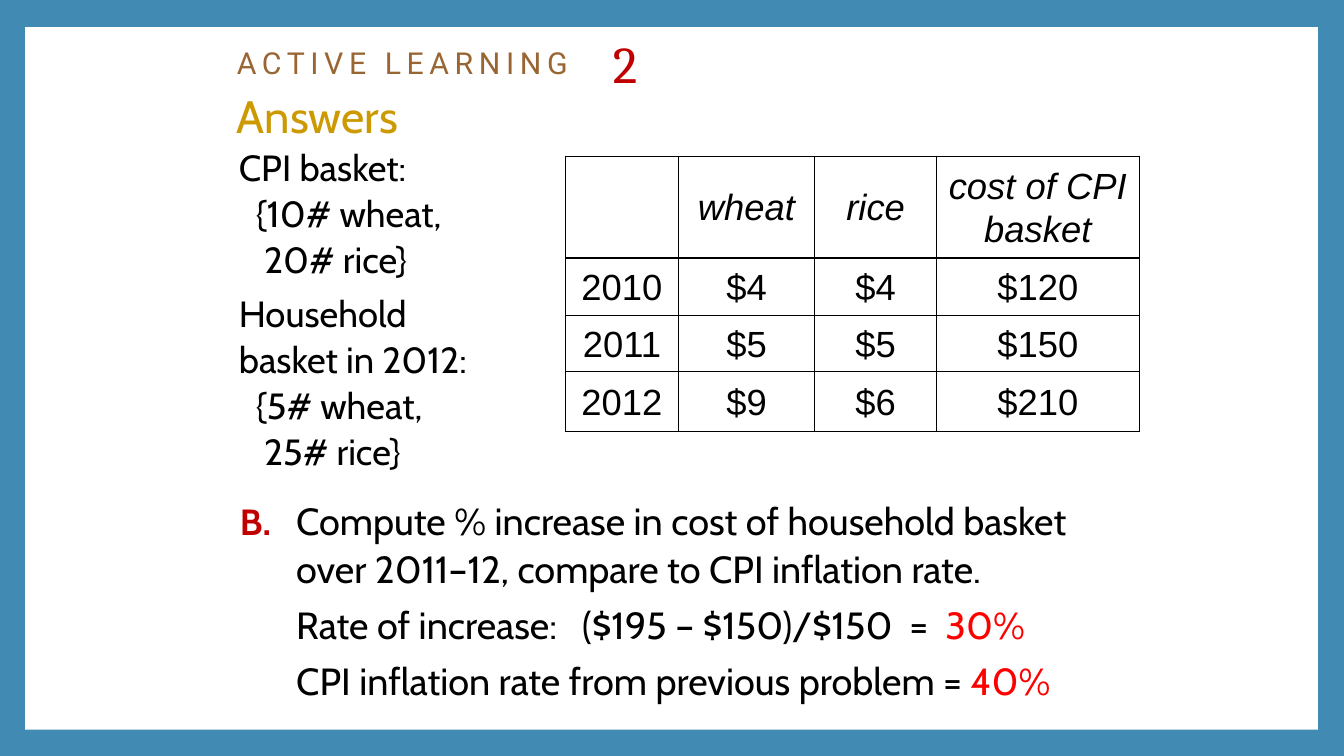
from dataclasses import dataclass

from lxml import etree
from pptx import Presentation
from pptx import util as u
from pptx.dml.color import RGBColor
from pptx.enum import shapes, text
from pptx.oxml.ns import qn


@dataclass(frozen=True)
class Theme:
    frame: str = "418AB3"
    paper: str = "FFFFFF"
    ink: str = "000000"
    brown: str = "996633"
    gold: str = "CC9900"
    crimson: str = "C00000"
    red: str = "FF0000"
    body_font: str = "Cabin"
    label_font: str = "Roboto"
    number_font: str = "Cambria"
    table_font: str = "Arial"
    label_size: float = 21.6
    number_size: float = 63.9
    heading_size: float = 32.4
    body_size: float = 26
    answer_size: float = 27
    paragraph_gap: float = 6
    line_spacing: float = 1.05


def add_text(paragraph, words, *, font, size, color, bold=False, italic=False,
             tracking=0, baseline=0):
    """Append one run; tracking is in points, baseline in percent."""
    run = paragraph.add_run()
    run.text = words
    run.font.name = font
    run.font.size = u.Pt(size)
    run.font.bold = bold
    run.font.italic = italic
    run.font.color.rgb = RGBColor.from_string(color)
    properties = run.font._element
    if tracking:
        properties.set("spc", str(round(tracking * 100)))
    if baseline:
        properties.set("baseline", str(baseline * 1000))


class SlideBuilder:
    def __init__(self, slide, theme):
        self.slide = slide
        self.theme = theme

    def background(self):
        fill = self.slide.background.fill
        fill.solid()
        fill.fore_color.rgb = RGBColor.from_string(self.theme.frame)

    def panel(self, *box):
        panel = self.slide.shapes.add_shape(
            shapes.MSO_SHAPE.RECTANGLE, *map(u.Inches, box))
        panel.shadow.inherit = False
        panel.fill.solid()
        panel.fill.fore_color.rgb = RGBColor.from_string(self.theme.paper)
        panel.line.fill.background()

    def text_box(self, *box, anchor=text.MSO_ANCHOR.TOP):
        frame = self.slide.shapes.add_textbox(*map(u.Inches, box)).text_frame
        frame.word_wrap = True
        frame.vertical_anchor = anchor
        return frame

    def paragraph(self, frame, runs, *, margin=0, hanging=0, gap=0):
        """Add a body paragraph from (words, format) pairs."""
        first = frame.paragraphs[0]
        paragraph = frame.add_paragraph() if first.runs else first
        paragraph.line_spacing = self.theme.line_spacing
        paragraph.space_before = u.Pt(gap)
        properties = paragraph._p.get_or_add_pPr()
        properties.set("marL", str(u.Inches(margin)))
        properties.set("indent", str(-u.Inches(hanging)))
        for words, changes in runs:
            style = dict(font=self.theme.body_font, size=self.theme.answer_size,
                         color=self.theme.ink)
            add_text(paragraph, words, **(style | changes))

    def title(self, label, number, heading, *box):
        theme = self.theme
        frame = self.text_box(*box, anchor=text.MSO_ANCHOR.MIDDLE)
        paragraph = frame.paragraphs[0]
        paragraph.line_spacing = 0.9
        label_style = dict(font=theme.label_font, size=theme.label_size,
                           color=theme.brown)
        add_text(paragraph, label, tracking=4, **label_style)
        add_text(paragraph, " ", tracking=22.6, **label_style)
        add_text(paragraph, number, font=theme.number_font,
                 size=theme.number_size, color=theme.crimson, baseline=-10)
        paragraph.add_line_break()
        add_text(paragraph, heading, font=theme.body_font,
                 size=theme.heading_size, color=theme.gold)

    def cell_border(self, cell):
        properties = cell._tc.get_or_add_tcPr()
        for position, side in enumerate(("lnL", "lnR", "lnT", "lnB")):
            line = etree.Element(qn(f"a:{side}"), w=str(u.Pt(1)))
            fill = etree.SubElement(line, qn("a:solidFill"))
            etree.SubElement(fill, qn("a:srgbClr"), val=self.theme.ink)
            properties.insert(position, line)

    def table(self, rows, widths, heights, left, top):
        theme = self.theme
        box = (left, top, sum(widths), sum(heights))
        table = self.slide.shapes.add_table(
            len(rows), len(widths), *map(u.Inches, box)).table
        table.first_row = table.horz_banding = False
        for column, width in zip(table.columns, widths):
            column.width = u.Inches(width)
        for row_index, (row, height) in enumerate(zip(rows, heights)):
            table.rows[row_index].height = u.Inches(height)
            for column_index, words in enumerate(row):
                cell = table.cell(row_index, column_index)
                cell.fill.solid()
                cell.fill.fore_color.rgb = RGBColor.from_string(theme.paper)
                cell.vertical_anchor = text.MSO_ANCHOR.MIDDLE
                self.cell_border(cell)
                if words:
                    paragraph = cell.text_frame.paragraphs[0]
                    paragraph.alignment = text.PP_ALIGN.CENTER
                    paragraph.line_spacing = theme.line_spacing
                    add_text(paragraph, words, font=theme.table_font,
                             size=theme.body_size, color=theme.ink,
                             italic=row_index == 0)


def main():
    theme = Theme()
    presentation = Presentation()
    presentation.slide_width = u.Inches(13.33)
    presentation.slide_height = u.Inches(7.5)
    slide = presentation.slides.add_slide(presentation.slide_layouts[6])
    builder = SlideBuilder(slide, theme)
    builder.background()
    builder.panel(0.25, 0.27, 12.82, 6.97)
    builder.title("ACTIVE LEARNING", "2", "Answers", 2.25, 0.17, 8.98, 1.04)

    answer = builder.text_box(2.28, 4.87, 9.08, 2.31)
    red = {"color": theme.red}
    builder.paragraph(answer, [
        ("B.\t", dict(size=theme.body_size, color=theme.crimson, bold=True)),
        ("Compute % increase in cost of household basket over 2011–12, "
         "compare to CPI inflation rate.", {}),
    ], margin=0.56, hanging=0.56)
    results = [
        [("Rate of increase:", {}), (" ", {"tracking": 12}),
         ("($195 – $150)/$150", {}), (" ", {"tracking": 6}),
         ("=", {}), (" ", {"tracking": 6}), ("30%", red)],
        [("CPI inflation rate from previous problem = ", {}), ("40%", red)],
    ]
    for runs in results:
        builder.paragraph(answer, runs, margin=0.56, gap=theme.paragraph_gap)

    baskets = builder.text_box(2.27, 1.37, 2.89, 3.5)
    basket_lines = [
        ("CPI basket:", 0, 0),
        ("{10# wheat,", 0.17, 0),
        ("20# rice}", 0.25, 0),
        ("Household basket in 2012:", 0, theme.paragraph_gap),
        ("{5# wheat,", 0.17, 0),
        ("25# rice}", 0.25, 0),
    ]
    for words, margin, gap in basket_lines:
        builder.paragraph(baskets, [(words, {"size": theme.body_size})],
                          margin=margin, gap=gap)

    builder.table(
        [("", "wheat", "rice", "cost of CPI basket"),
         ("2010", "$4", "$4", "$120"),
         ("2011", "$5", "$5", "$150"),
         ("2012", "$9", "$6", "$210")],
        widths=(1.12, 1.35, 1.21, 2.01), heights=(1.01, 0.57, 0.55, 0.6),
        left=5.61, top=1.55)
    presentation.save("out.pptx")


if __name__ == "__main__":
    main()
